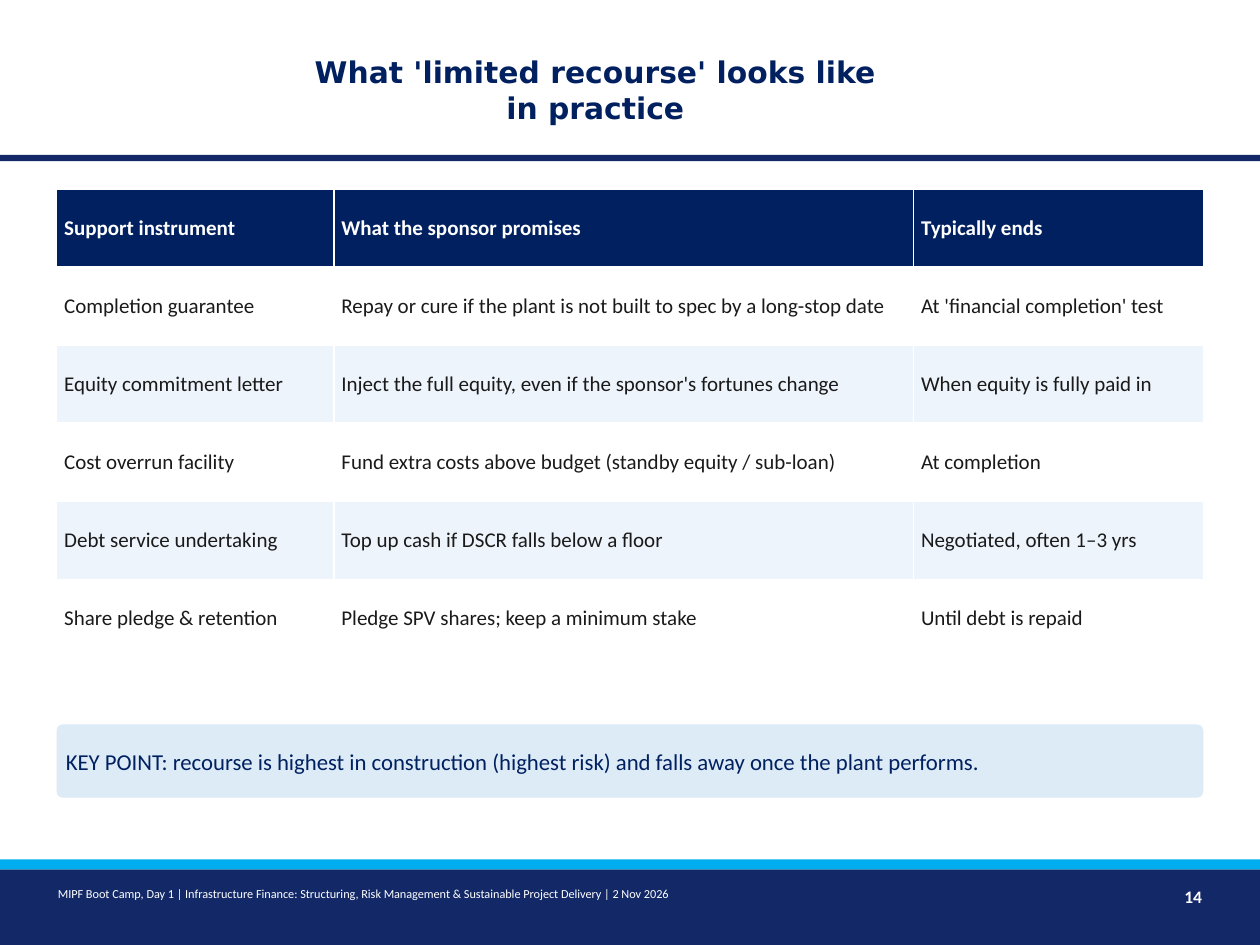
from dataclasses import dataclass
from pptx import Presentation
from pptx import util as u
from pptx.dml.color import RGBColor
from pptx.enum import shapes, text


@dataclass(frozen=True)
class Theme:
    navy: str = "002060"
    band: str = "122867"
    cyan: str = "00AEEF"
    pale: str = "EEF4FB"
    note: str = "DDEBF7"
    ink: str = "1A1A1A"
    white: str = "FFFFFF"
    head: str = "DejaVu Sans"
    body: str = "Calibri"
    title: int = 17
    key: int = 13
    cell: int = 12
    page: int = 10
    foot: int = 7


T = Theme()
TITLE = "What 'limited recourse' looks like in practice"
ROWS = [
    ("Support instrument", "What the sponsor promises", "Typically ends"),
    ("Completion guarantee",
     "Repay or cure if the plant is not built to spec by a long-stop date",
     "At 'financial completion' test"),
    ("Equity commitment letter",
     "Inject the full equity, even if the sponsor's fortunes change",
     "When equity is fully paid in"),
    ("Cost overrun facility",
     "Fund extra costs above budget (standby equity / sub-loan)",
     "At completion"),
    ("Debt service undertaking",
     "Top up cash if DSCR falls below a floor",
     "Negotiated, often 1–3 yrs"),
    ("Share pledge & retention",
     "Pledge SPV shares; keep a minimum stake",
     "Until debt is repaid"),
]
KEY = ("KEY POINT: recourse is highest in construction (highest risk) "
       "and falls away once the plant performs.")
FOOT = ("MIPF Boot Camp, Day 1 | Infrastructure Finance: Structuring, "
        "Risk Management & Sustainable Project Delivery | 2 Nov 2026")
PAGE = "14"

WIDE, TALL = 10, 7.5
EDGE, ROW = 0.45, 0.62
COLS = (2.2, 4.6, 2.3)
BARS = [(1.23, 0.05, T.band), (6.9, 0.6, T.band), (6.82, 0.08, T.cyan)]
LEFT, MID, RIGHT = text.PP_ALIGN.LEFT, text.PP_ALIGN.CENTER, text.PP_ALIGN.RIGHT


def box(*dims):
    return [u.Inches(d) for d in dims]


def paint(item, color):
    item.fill.solid()
    item.fill.fore_color.rgb = RGBColor.from_string(color)


def inset(item):
    item.margin_left = item.margin_right = u.Inches(0.06)
    item.margin_top = item.margin_bottom = u.Inches(0.03)


def write(frame, words, size, color, bold=False, face=T.body, align=LEFT):
    frame.text = words
    par = frame.paragraphs[0]
    par.alignment = align
    font = par.font
    font.name, font.size, font.bold = face, u.Pt(size), bold
    font.color.rgb = RGBColor.from_string(color)


def block(slide, kind, dims, color):
    item = slide.shapes.add_shape(kind, *box(*dims))
    item.shadow.inherit = False
    item.line.fill.background()
    paint(item, color)
    return item


def label(slide, dims, *args, **opts):
    frame = slide.shapes.add_textbox(*box(*dims)).text_frame
    frame.word_wrap = True
    frame.auto_size = text.MSO_AUTO_SIZE.SHAPE_TO_FIT_TEXT
    inset(frame)
    write(frame, *args, **opts)


def grid(slide):
    dims = box(EDGE, 1.5, sum(COLS), ROW * len(ROWS))
    table = slide.shapes.add_table(len(ROWS), len(COLS), *dims).table
    for col, width in zip(table.columns, COLS):
        col.width = u.Inches(width)
    for r, row in enumerate(ROWS):
        top = r == 0
        fill = T.navy if top else T.white if r % 2 else T.pale
        for c, words in enumerate(row):
            cell = table.cell(r, c)
            paint(cell, fill)
            inset(cell)
            cell.vertical_anchor = text.MSO_ANCHOR.MIDDLE
            write(cell.text_frame, words, T.cell, T.white if top else T.ink, top)


def main():
    deck = Presentation()
    deck.slide_width, deck.slide_height = box(WIDE, TALL)
    slide = deck.slides.add_slide(deck.slide_layouts[5])

    title = slide.shapes.title
    title.left, title.top, title.width, title.height = box(2.3, 0.22, 4.85, 0.98)
    frame = title.text_frame
    frame.auto_size = text.MSO_AUTO_SIZE.NONE
    frame.vertical_anchor = text.MSO_ANCHOR.MIDDLE
    write(frame, TITLE, T.title, T.navy, True, T.head, MID)

    for top, high, color in BARS:
        block(slide, shapes.MSO_SHAPE.RECTANGLE, (0, top, WIDE, high), color)

    label(slide, (0.4, 7, 6.8, 0.35), FOOT, T.foot, T.white)
    label(slide, (9, 7, 0.6, 0.35), PAGE, T.page, T.white, bold=True, align=RIGHT)
    grid(slide)

    note = block(slide, shapes.MSO_SHAPE.ROUNDED_RECTANGLE,
                 (EDGE, 5.75, sum(COLS), 0.58), T.note)
    note.adjustments[0] = 0.08
    inset(note.text_frame)
    note.text_frame.word_wrap = True
    note.text_frame.vertical_anchor = text.MSO_ANCHOR.MIDDLE
    write(note.text_frame, KEY, T.key, T.navy)

    deck.save("out.pptx")


if __name__ == "__main__":
    main()
